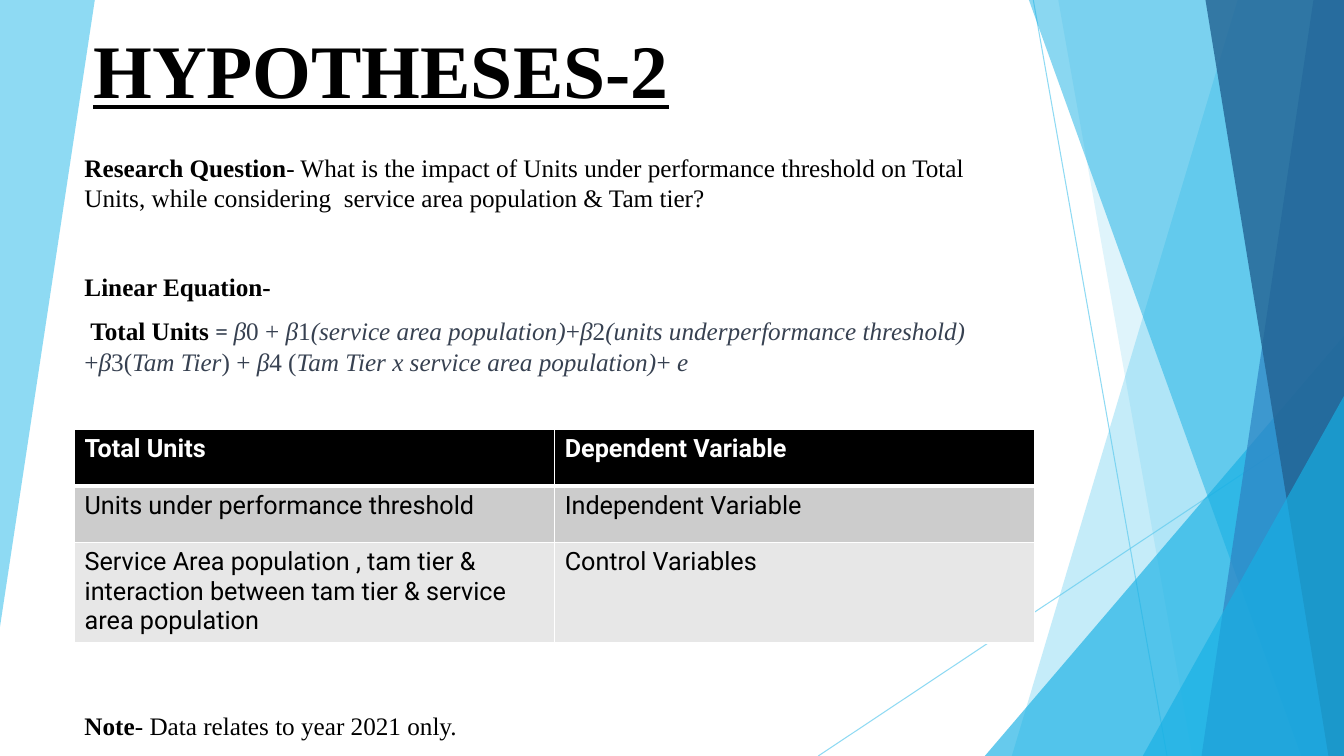
from lxml import etree
from pptx import Presentation, util as u
from pptx.dml.color import RGBColor
from pptx.enum import shapes, text
from pptx.oxml.ns import qn

WIDE, HIGH = 33.87, 19.05
SKY, CYAN, BLUE, NAVY = "5FCBEF", "17B0E4", "2E83C3", "226292"
BLACK, WHITE, SLATE = "000000", "FFFFFF", "374151"


def tint(color, code, alpha=100):
    color.rgb = RGBColor.from_string(code)
    if alpha < 100:
        node = color._xFill.find(qn("a:srgbClr"))
        etree.SubElement(node, qn("a:alpha"), val=str(alpha * 1000))


class Deck:
    serif = "Times New Roman"
    sans = "Roboto"
    size = 18

    def __init__(self):
        self.file = Presentation()
        self.file.slide_width = u.Cm(WIDE)
        self.file.slide_height = u.Cm(HIGH)
        self.slide = self.file.slides.add_slide(self.file.slide_layouts[5])
        self.items = self.slide.shapes

    def paint(self, shape, code, alpha):
        shape.shadow.inherit = False
        shape.fill.solid()
        tint(shape.fill.fore_color, code, alpha)
        shape.line.fill.background()

    def poly(self, points, code, alpha):
        spots = [(u.Cm(x), u.Cm(y)) for x, y in points]
        form = self.items.build_freeform(*spots[0], scale=1.0)
        form.add_line_segments(spots[1:], close=True)
        self.paint(form.convert_to_shape(), code, alpha)

    def band(self, top, base, code, alpha):
        self.poly([(top, 0), (WIDE, 0), (WIDE, HIGH), (base, HIGH)], code, alpha)

    def wedge(self, left, top, code, alpha):
        shape = self.items.add_shape(
            shapes.MSO_SHAPE.ISOSCELES_TRIANGLE,
            u.Cm(left), u.Cm(top), u.Cm(WIDE - left), u.Cm(HIGH - top))
        shape.adjustments[0] = 1
        self.paint(shape, code, alpha)

    def line(self, *ends):
        wire = self.items.add_connector(
            shapes.MSO_CONNECTOR.STRAIGHT, *[u.Cm(n) for n in ends])
        wire.line.width = u.Pt(0.75)
        wire.line.fill.solid()
        tint(wire.line.fill.fore_color, SKY, 70)
        etree.SubElement(wire.element.spPr, qn("a:effectLst"))

    def run(self, para, words, marks="", code=BLACK, face=None, size=None):
        run = para.add_run()
        run.text = words
        font = run.font
        font.name = face or self.serif
        font.size = u.Pt(size or self.size)
        font.bold = "b" in marks
        font.italic = "i" in marks
        font.underline = "u" in marks
        tint(font.color, code)

    def title(self, words, left, top, width, height):
        head = self.items.title
        head.left, head.top = u.Cm(left), u.Cm(top)
        head.width, head.height = u.Cm(width), u.Cm(height)
        frame = head.text_frame
        frame.auto_size = text.MSO_AUTO_SIZE.NONE
        frame.vertical_anchor = text.MSO_ANCHOR.BOTTOM
        para = frame.paragraphs[0]
        para.alignment = text.PP_ALIGN.RIGHT
        self.run(para, words, "bu", size=54)
        self.items.element.append(head.element)

    def text(self, left, top, width, height, paras):
        box = self.items.add_textbox(
            u.Cm(left), u.Cm(top), u.Cm(width), u.Cm(height))
        frame = box.text_frame
        frame.word_wrap = True
        for i, (gap, runs) in enumerate(paras):
            para = frame.add_paragraph() if i else frame.paragraphs[0]
            para.space_before = u.Pt(gap)
            for run in runs:
                self.run(para, *run)

    def edge(self, cell, side, width):
        line = etree.SubElement(
            cell._tc.get_or_add_tcPr(), qn("a:ln" + side), w=str(u.Pt(width)))
        fill = etree.SubElement(line, qn("a:solidFill"))
        etree.SubElement(fill, qn("a:srgbClr"), val=WHITE)

    def table(self, left, top, width, highs, fills, rows):
        grid = self.items.add_table(
            len(rows), len(rows[0]), u.Cm(left), u.Cm(top),
            u.Cm(width), u.Cm(sum(highs))).table
        for r, row in enumerate(rows):
            grid.rows[r].height = u.Cm(highs[r])
            for c, words in enumerate(row):
                cell = grid.cell(r, c)
                for side in "LRTB":
                    thick = (r, side) in ((0, "B"), (1, "T"))
                    self.edge(cell, side, 3 if thick else 1)
                cell.fill.solid()
                tint(cell.fill.fore_color, fills[r])
                self.run(cell.text_frame.paragraphs[0], words,
                         "" if r else "b", BLACK if r else WHITE, self.sans)


def main():
    deck = Deck()
    deck.poly([(0, 0), (2.39, 0), (0, 15.8)], SKY, 70)
    deck.line(26.04, 0, 29.41, HIGH)
    deck.line(WIDE, 10.24, 20.62, HIGH)
    deck.band(31.19, 25.5, SKY, 36)
    deck.band(26.67, 30.05, SKY, 20)
    deck.wedge(24.82, 8.46, CYAN, 66)
    deck.band(25.93, 32.79, CYAN, 50)
    deck.band(33.1, 30.28, BLUE, 70)
    deck.band(30.38, 33.48, NAVY, 80)
    deck.wedge(28.8, 9.98, CYAN, 66)

    deck.title("HYPOTHESES-2", -4.45, -1.57, 21.56, 4.57)

    terms = [
        ("β", "i"), ("0 + ", ""), ("β", "i"), ("1", ""),
        ("(service area population)", "i"), ("+", ""), ("β", "i"), ("2", ""),
        ("(units underperformance threshold) ", "i"), ("+", ""), ("β", "i"),
        ("3(", ""), ("Tam Tier", "i"), (") + ", ""), ("β", "i"), ("4 (", ""),
        ("Tam Tier x service area population)", "i"), ("+", ""), (" e", "i"),
    ]
    model = [(" Total Units ", "b"), ("= ", "", SLATE, "Calibri")]
    model += [(words, marks, SLATE) for words, marks in terms]
    ask = ("- What is the impact of Units under performance threshold on Total "
           "Units, while considering  service area population & Tam tier?")
    deck.text(1.88, 3.71, 22.91, 8.81, [
        (10, [("Research Question", "b"), (ask,)]),
        (42, [("Linear Equation-", "b")]),
        (10, model),
    ])
    deck.table(1.88, 10.82, 24.2, [1.42, 1.42, 2.5],
               [BLACK, "CCCCCC", "E7E7E7"], [
        ("Total Units", "Dependent Variable"),
        ("Units under performance threshold", "Independent Variable"),
        ("Service Area population , tam tier & interaction between "
         "tam tier & service area population", "Control Variables"),
    ])
    deck.text(1.88, 17.78, 19.18, 1.02, [
        (0, [("Note", "b"), ("- Data relates to year 2021 only.",)]),
    ])
    deck.file.save("out.pptx")


if __name__ == "__main__":
    main()
